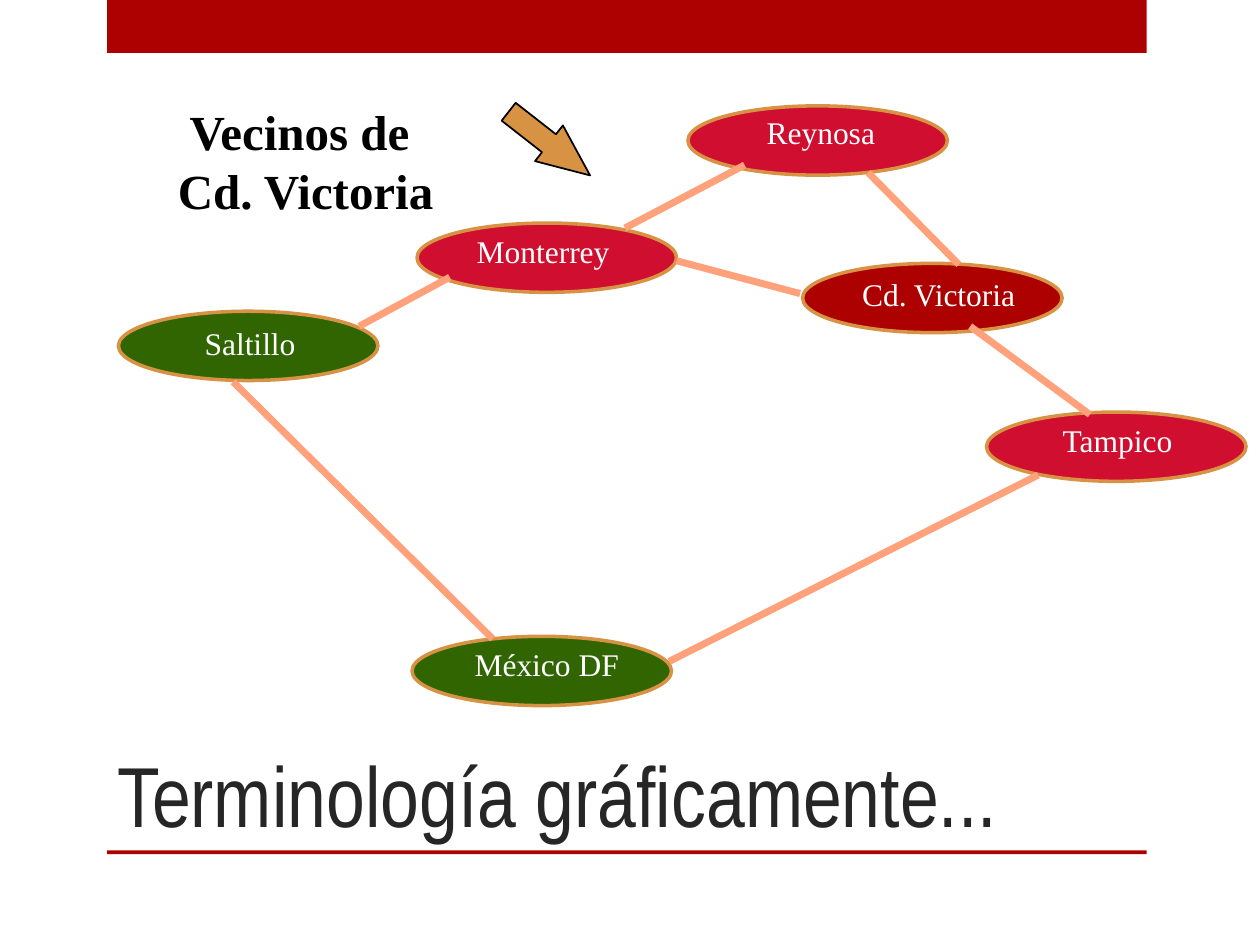
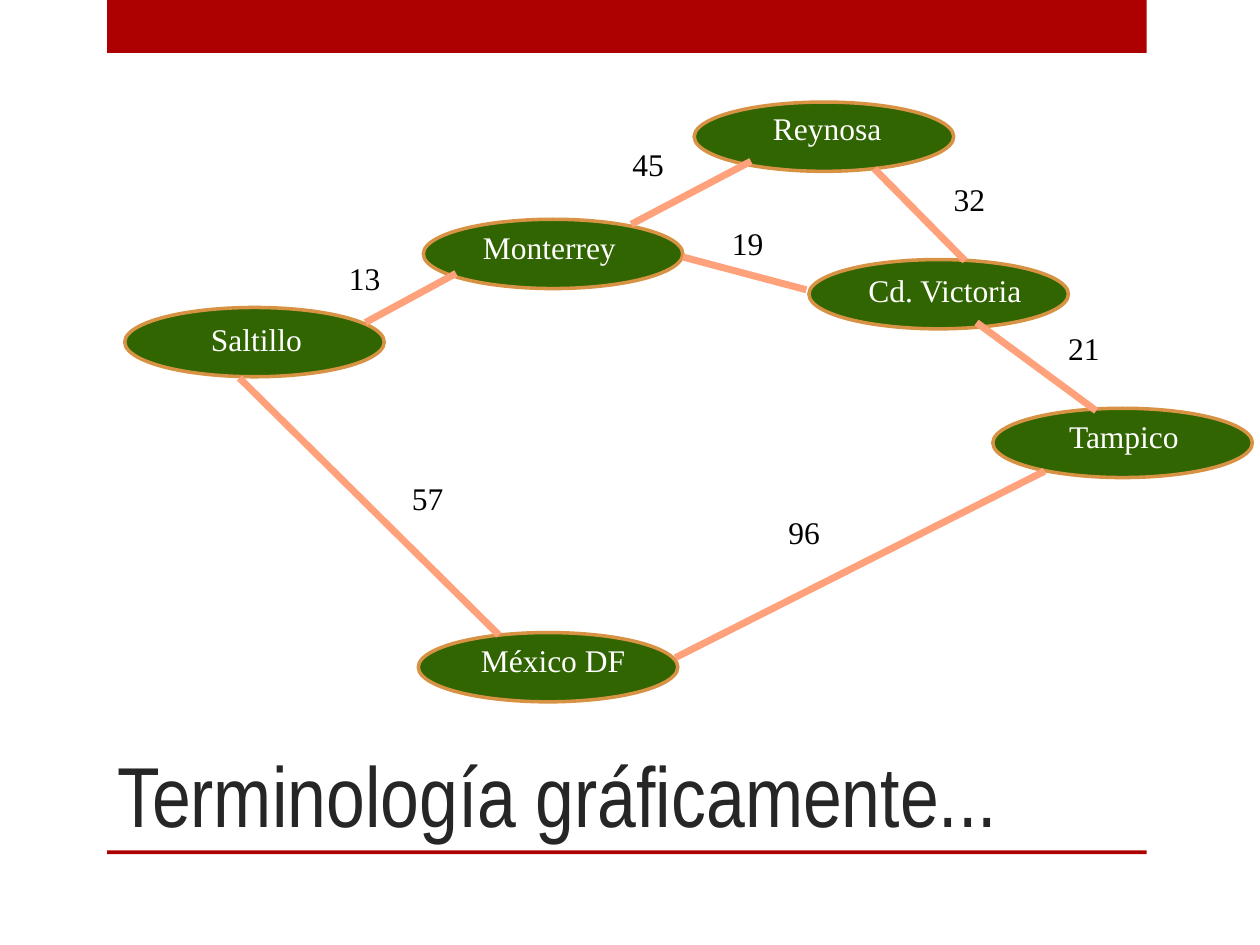
from dataclasses import dataclass

from lxml import etree
from pptx import Presentation
from pptx.dml.color import RGBColor
from pptx.enum import shapes, text
from pptx.oxml.ns import qn
from pptx.util import Inches, Pt

RED, CRIMSON, GREEN = "AD0101", "CF0E30", "316501"
GOLD, SALMON, DARK, BLACK, WHITE = "D89243", "FFA27C", "262626", "000000", "FFFFFF"
SERIF, NARROW = "Times New Roman", "Arial Narrow"
NODE_W, NODE_H = 2.06, 0.55


@dataclass(frozen=True)
class City:
    name: str
    x: float
    y: float
    # Label box, relative to the ellipse
    label_dx: float
    label_dy: float
    label_w: float


@dataclass(frozen=True)
class Road:
    x1: float
    y1: float
    x2: float
    y2: float


@dataclass(frozen=True)
class Weight:
    value: str
    x: float
    y: float


CITIES = [
    City("Monterrey", 3.31, 1.77, 0.36, 0.02, 1.28),
    City("Saltillo", 0.94, 2.47, 0.58, 0.05, 0.93),
    City("México DF", 3.27, 5.05, 0.39, 0.02, 1.36),
    City("Reynosa", 5.46, 0.84, 0.52, 0.01, 1.07),
    City("Cd. Victoria", 6.37, 2.09, 0.36, 0.04, 1.44),
    City("Tampico", 7.83, 3.27, 0.50, 0.02, 1.08),
]
ROADS = [
    Road(2.85, 2.59, 3.57, 2.20),
    Road(5.31, 5.25, 8.24, 3.77),
    Road(1.85, 3.03, 3.91, 5.07),
    Road(4.96, 1.81, 5.91, 1.31),
    Road(7.61, 2.10, 6.89, 1.37),
    Road(8.65, 3.29, 7.70, 2.59),
    Road(6.35, 2.33, 5.37, 2.07),
]
WEIGHTS = [
    Weight("45", 4.92, 1.10), Weight("32", 7.47, 1.38), Weight("21", 8.38, 2.56),
    Weight("96", 6.16, 4.02), Weight("57", 3.17, 3.75), Weight("13", 2.67, 2.01),
    Weight("19", 5.71, 1.73),
]
# Cd. Victoria and its neighbours stand out from the other cities
NEIGHBOUR_FILLS = {"Cd. Victoria": RED, "Monterrey": CRIMSON,
                   "Reynosa": CRIMSON, "Tampico": CRIMSON}


def rgb(color: str) -> RGBColor:
    return RGBColor.from_string(color)


def format_text(tf, size: float, color: str, font: str, align, bold: bool = False) -> None:
    for p in tf.paragraphs:
        p.alignment = align
        for r in p.runs:
            r.font.size, r.font.name, r.font.bold = Pt(size), font, bold
            r.font.color.rgb = rgb(color)


def add_shape(s, kind, x: float, y: float, w: float, h: float, fill: str,
              line: str = "", line_w: float = 0):
    sp = s.shapes.add_shape(kind, Inches(x), Inches(y), Inches(w), Inches(h))
    sp.shadow.inherit = False
    sp.fill.solid()
    sp.fill.fore_color.rgb = rgb(fill)
    if line:
        sp.line.color.rgb = rgb(line)
        sp.line.width = Pt(line_w)
    else:
        sp.line.fill.background()
    return sp


def add_text(s, content: str, x: float, y: float, w: float, h: float, size: float = 18,
             color: str = BLACK, align=text.PP_ALIGN.CENTER, bold: bool = False) -> None:
    tf = s.shapes.add_textbox(Inches(x), Inches(y), Inches(w), Inches(h)).text_frame
    tf.word_wrap = False
    tf.text = content
    format_text(tf, size, color, SERIF, align, bold)


def add_road(s, road: Road, dx: float, dy: float) -> None:
    line = s.shapes.add_connector(
        shapes.MSO_CONNECTOR.STRAIGHT, Inches(road.x1 + dx), Inches(road.y1 + dy),
        Inches(road.x2 + dx), Inches(road.y2 + dy))
    line.line.color.rgb = rgb(SALMON)
    line.line.width = Pt(4)
    etree.SubElement(line._element.spPr, qn("a:effectLst"))


def add_graph(s, fills: dict[str, str], dx: float = 0, dy: float = 0) -> None:
    for c in CITIES:
        add_shape(s, shapes.MSO_SHAPE.OVAL, c.x + dx, c.y + dy, NODE_W, NODE_H,
                  fills.get(c.name, GREEN), GOLD, 2)
    for c in CITIES:
        add_text(s, c.name, c.x + c.label_dx + dx, c.y + c.label_dy + dy,
                 c.label_w, 0.4, color=WHITE)
    for road in ROADS:
        add_road(s, road, dx, dy)


def add_slide(prs, title_w: float):
    s = prs.slides.add_slide(prs.slide_layouts[5])
    # Top band and rule under the title
    for y, h in ((0, 0.42), (6.75, 0.03)):
        add_shape(s, shapes.MSO_SHAPE.RECTANGLE, 0.85, y, 8.25, h, RED)
    title = s.shapes.title
    title.left, title.top = Inches(0.83), Inches(5)
    title.width, title.height = Inches(title_w), Inches(1.75)
    tf = title.text_frame
    tf.text = "Terminología gráficamente..."
    tf.auto_size = text.MSO_AUTO_SIZE.NONE
    tf.vertical_anchor = text.MSO_ANCHOR.BOTTOM
    format_text(tf, 48.6, DARK, NARROW, text.PP_ALIGN.LEFT)
    return s


prs = Presentation()
prs.slide_width, prs.slide_height = Inches(10), Inches(7.5)

# Slide 1: neighbours of Cd. Victoria
s = add_slide(prs, 8.48)
add_graph(s, NEIGHBOUR_FILLS)
arrow = add_shape(s, shapes.MSO_SHAPE.RIGHT_ARROW, 3.95, 0.96, 0.82, 0.36, GOLD, BLACK, 1)
arrow.rotation = 38
arrow.adjustments[0], arrow.adjustments[1] = 0.5, 1.15
add_text(s, "Vecinos de \nCd. Victoria", 1.3, 0.76, 2.25, 1.03, size=28, bold=True)

# Slide 2: the same graph with weights on its roads
s = add_slide(prs, 8.56)
add_graph(s, {}, dx=0.05, dy=-0.03)
for weight in WEIGHTS:
    add_text(s, weight.value, weight.x, weight.y, 0.53, 0.5, align=text.PP_ALIGN.LEFT)

prs.save("out.pptx")
